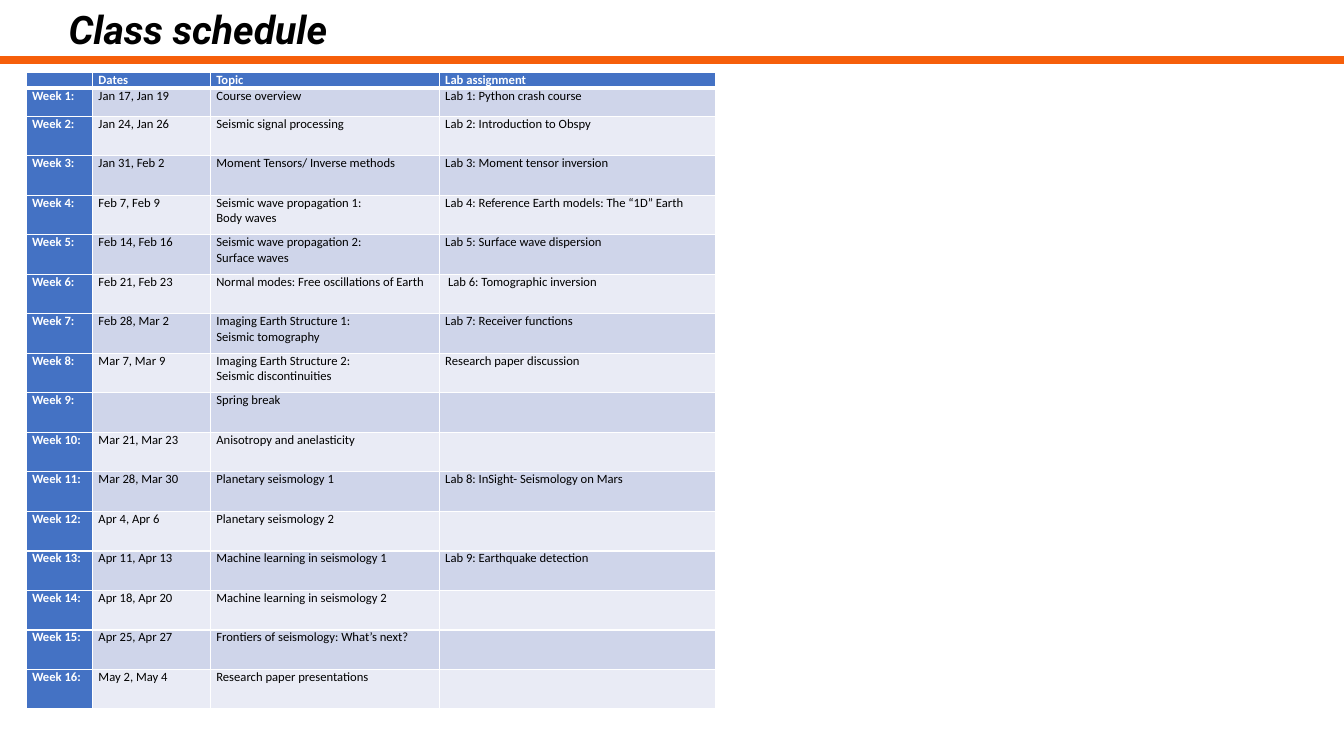
from dataclasses import dataclass

from lxml.etree import SubElement
from pptx import Presentation
from pptx.dml.color import RGBColor as RGB
from pptx.enum.shapes import MSO_CONNECTOR as CONNECTOR
from pptx.enum.text import MSO_ANCHOR as ANCHOR, MSO_AUTO_SIZE as AUTO_SIZE, PP_ALIGN as ALIGN
from pptx.oxml.ns import qn
from pptx.util import Pt


@dataclass(frozen=True)
class Theme:
    black: str = "000000"
    white: str = "FFFFFF"
    orange: str = "F65F0A"
    blue: str = "4472C4"
    bands: tuple = ("CFD5EA", "E9EBF5")
    title_font: str = "Roboto"
    table_font: str = "Calibri"
    title_size: float = 28
    table_size: float = 9
    rule_width: float = 6
    grid_width: float = 1
    header_width: float = 3


SLIDE_W, SLIDE_H = 960, 540
COLUMN_WIDTHS = (47.5, 84.2, 163.5, 197.3)
HEADER_HEIGHT, FIRST_WEEK_HEIGHT, WEEK_HEIGHT = 11, 20, 28.25
HEADINGS = ("", "Dates", "Topic", "Lab assignment")
# "\n" starts a paragraph, "\v" breaks a line
WEEKS = (
    ("Jan 17, Jan 19", "Course overview", "Lab 1: Python crash course"),
    ("Jan 24, Jan 26", "Seismic signal processing", "Lab 2: Introduction to Obspy"),
    ("Jan 31, Feb 2", "Moment Tensors/ Inverse methods", "Lab 3: Moment tensor inversion"),
    ("Feb 7, Feb 9", "Seismic wave propagation 1:\nBody waves",
     "Lab 4: Reference Earth models: The “1D” Earth"),
    ("Feb 14, Feb 16", "Seismic wave propagation 2:\vSurface waves",
     "Lab 5: Surface wave dispersion"),
    ("Feb 21, Feb 23", "Normal modes: Free oscillations of Earth",
     " Lab 6: Tomographic inversion"),
    ("Feb 28, Mar 2", "Imaging Earth Structure 1:\nSeismic tomography",
     "Lab 7: Receiver functions"),
    ("Mar 7, Mar 9", "Imaging Earth Structure 2:\nSeismic discontinuities",
     "Research paper discussion"),
    ("", "Spring break", ""),
    ("Mar 21, Mar 23", "Anisotropy and anelasticity", ""),
    ("Mar 28, Mar 30", "Planetary seismology 1", "Lab 8: InSight- Seismology on Mars"),
    ("Apr 4, Apr 6", "Planetary seismology 2", ""),
    ("Apr 11, Apr 13", "Machine learning in seismology 1", "Lab 9: Earthquake detection"),
    ("Apr 18, Apr 20", "Machine learning in seismology 2", ""),
    ("Apr 25, Apr 27", "Frontiers of seismology: What’s next?", ""),
    ("May 2, May 4", "Research paper presentations", ""),
)


class SlideBuilder:
    def __init__(self, prs, theme):
        self.theme = theme
        self.s = prs.slides.add_slide(prs.slide_layouts[5])

    def set_font(self, font, name, size, color, bold, italic=False):
        font.name, font.size, font.bold, font.italic = name, Pt(size), bold, italic
        font.color.rgb = RGB.from_string(color)

    def title(self, text, x, y, w, h):
        t, sp = self.theme, self.s.shapes.title
        sp.left, sp.top, sp.width, sp.height = Pt(x), Pt(y), Pt(w), Pt(h)
        tf = sp.text_frame
        tf.text = text
        tf.word_wrap, tf.auto_size, tf.vertical_anchor = True, AUTO_SIZE.NONE, ANCHOR.TOP
        p = tf.paragraphs[0]
        p.alignment, p.line_spacing = ALIGN.LEFT, 0.9
        self.set_font(p.font, t.title_font, t.title_size, t.black, True, True)

    def rule(self, y):
        sp = self.s.shapes.add_connector(CONNECTOR.STRAIGHT, 0, Pt(y), Pt(SLIDE_W), Pt(y))
        sp.line.color.rgb = RGB.from_string(self.theme.orange)
        sp.line.width = Pt(self.theme.rule_width)
        SubElement(sp._element.spPr, qn("a:effectLst"))

    def borders(self, cell, top, bottom):
        """Outline a cell in white; call before the cell is filled."""
        side = self.theme.grid_width
        tc_pr = cell._tc.get_or_add_tcPr()
        for tag, width in (("lnL", side), ("lnR", side), ("lnT", top), ("lnB", bottom)):
            ln = SubElement(tc_pr, qn(f"a:{tag}"), w=str(Pt(width)))
            fill = SubElement(ln, qn("a:solidFill"))
            SubElement(fill, qn("a:srgbClr"), val=self.theme.white)

    def cell(self, cell, text, row, col):
        t = self.theme
        heading = row == 0 or col == 0
        self.borders(cell, t.header_width if row == 1 else t.grid_width,
                     t.header_width if row == 0 else t.grid_width)
        cell.fill.solid()
        cell.fill.fore_color.rgb = RGB.from_string(t.blue if heading else t.bands[(row - 1) % 2])
        cell.margin_left = cell.margin_right = Pt(4.3)
        cell.margin_top = cell.margin_bottom = 0
        cell.vertical_anchor = ANCHOR.TOP
        cell.text_frame.text = text
        for p in cell.text_frame.paragraphs:
            self.set_font(p.font, t.table_font, t.table_size,
                          t.white if heading else t.black, heading)
            if not text:  # keeps an empty cell from growing its row
                SubElement(p._p, qn("a:endParaRPr"), sz=str(int(t.table_size * 100)))

    def table(self, rows, x, y, widths, heights):
        tbl = self.s.shapes.add_table(len(rows), len(widths), Pt(x), Pt(y),
                                      Pt(sum(widths)), Pt(sum(heights))).table
        for column, width in zip(tbl.columns, widths):
            column.width = Pt(width)
        for row, height in zip(tbl.rows, heights):
            row.height = Pt(height)
        for i, row in enumerate(rows):
            for j, text in enumerate(row):
                self.cell(tbl.cell(i, j), text, i, j)


def main():
    prs = Presentation()
    prs.slide_width, prs.slide_height = Pt(SLIDE_W), Pt(SLIDE_H)
    slide = SlideBuilder(prs, Theme())
    slide.rule(43)
    slide.title("Class schedule", 41.8, 4.3, 720, 48.2)
    rows = [HEADINGS] + [(f"Week {n}:", *week) for n, week in enumerate(WEEKS, 1)]
    heights = [HEADER_HEIGHT, FIRST_WEEK_HEIGHT] + [WEEK_HEIGHT] * (len(WEEKS) - 1)
    slide.table(rows, 18.6, 52, COLUMN_WIDTHS, heights)
    prs.save("out.pptx")


if __name__ == "__main__":
    main()
